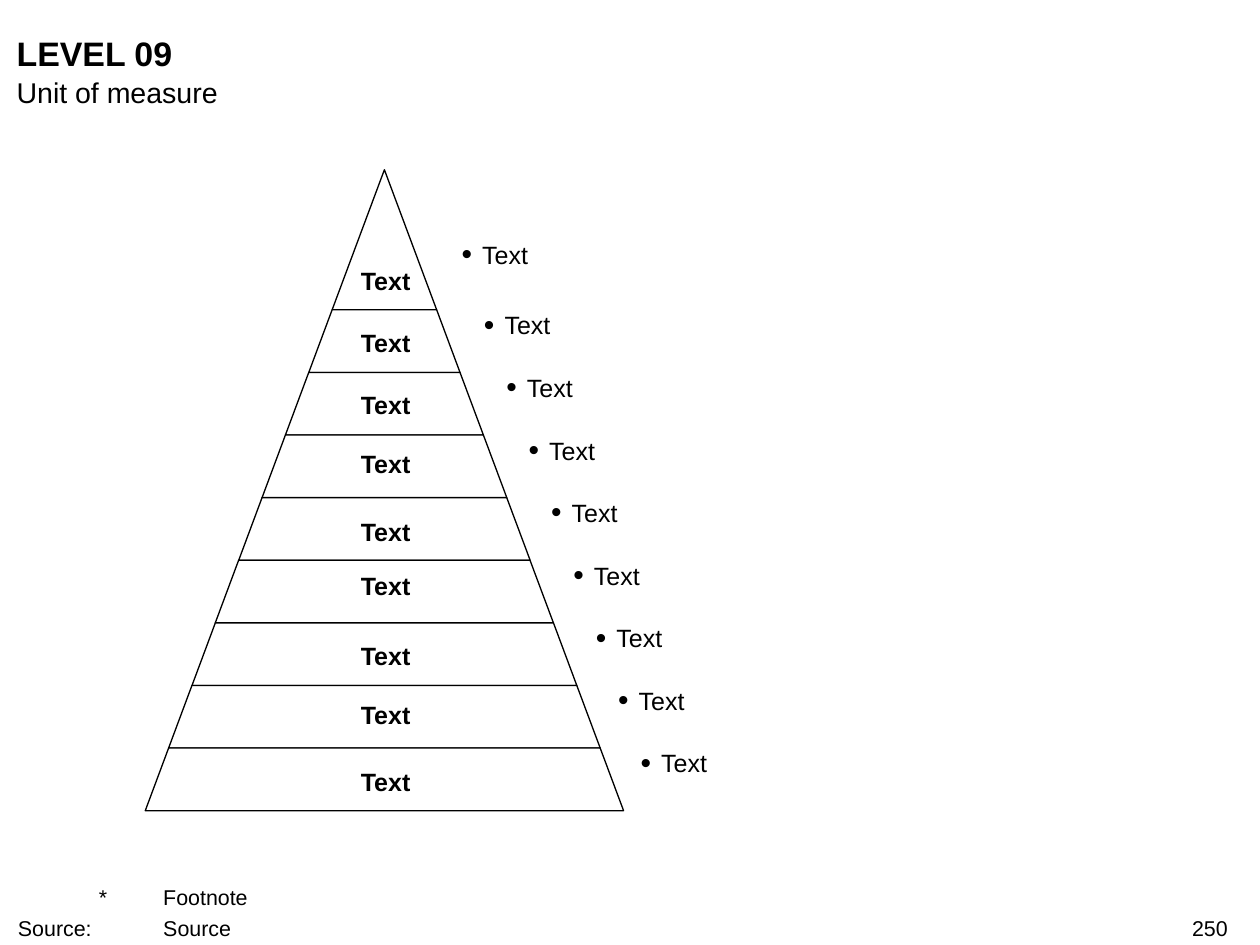
from lxml import etree
from pptx import Presentation
from pptx.dml.color import RGBColor
from pptx.enum.text import MSO_ANCHOR, MSO_AUTO_SIZE, PP_ALIGN
from pptx.oxml.ns import qn
from pptx.util import Inches, Pt

LEFT, MID, RIGHT = PP_ALIGN.LEFT, PP_ALIGN.CENTER, PP_ALIGN.RIGHT
TOP, CORE, BASE = MSO_ANCHOR.TOP, MSO_ANCHOR.MIDDLE, MSO_ANCHOR.BOTTOM
FIXED = MSO_AUTO_SIZE.NONE
HUES = {"ink": "000000", "paper": "FFFFFF"}
FONT = "Arial"

# Slide grid: 98 columns by 73.5 rows
WIDE, HIGH = Inches(9.8), Inches(7.35)
COLS, ROWS = 98, 73.5

# Pyramid: tip, first cut and base, with eight equal bands below the cut
MID_X, HALF = 29.9, 18.6
TIP, CUT, FOOT, BANDS = 13.2, 24.1, 63.05, 8
STEP = (FOOT - CUT) / BANDS
EDGES = [TIP] + [CUT + STEP * i for i in range(BANDS + 1)]

# Rows of the band labels, tip to base
LABELS = [20.7, 25.5, 30.3, 34.9, 40.2, 44.4, 49.8, 54.4, 59.6]


def col(num):
    return round(WIDE * num / COLS)


def row(num):
    return round(HIGH * num / ROWS)


def hue(name):
    return RGBColor.from_string(HUES[name])


def place(box, x, y, w, h):
    box.left, box.top, box.width, box.height = col(x), row(y), col(w), row(h)


def style(box, size, bold=False, align=LEFT, anchor=TOP):
    frame = box.text_frame
    frame.word_wrap, frame.auto_size = True, FIXED
    frame.vertical_anchor = anchor
    frame.margin_left = frame.margin_right = 0
    frame.margin_top = frame.margin_bottom = 0
    for para in frame.paragraphs:
        para.alignment = align
        for run in para.runs:
            run.font.name, run.font.size = FONT, Pt(size)
            run.font.bold = bold
            run.font.color.rgb = hue("ink")


def write(slide, text, area, size, **look):
    box = slide.shapes.add_textbox(0, 0, 0, 0)
    place(box, *area)
    box.text_frame.text = text
    style(box, size, **look)
    return box


def hang(para, depth):
    props = para._p.get_or_add_pPr()
    props.set("marL", str(col(depth)))
    props.set("indent", str(-col(depth)))
    return props


def band(slide, top, foot):
    def reach(y):
        return HALF * (y - TIP) / (FOOT - TIP)

    near, far = reach(top), reach(foot)
    spots = [(MID_X + near, top), (MID_X + far, foot), (MID_X - far, foot)]
    if near:
        spots.append((MID_X - near, top))
    spots = [(col(x), row(y)) for x, y in spots]
    path = slide.shapes.build_freeform(*spots[0])
    path.add_line_segments(spots[1:], close=True)
    shape = path.convert_to_shape()
    shape.shadow.inherit = False
    shape.fill.solid()
    shape.fill.fore_color.rgb = hue("paper")
    shape.line.color.rgb = hue("ink")
    shape.line.width = Pt(0.75)


def bullet(slide, text, x, y):
    box = write(slide, text, (x, y, 40.9, 2.3), 14)
    props = hang(box.text_frame.paragraphs[0], 1.6)
    tint = etree.SubElement(props, qn("a:buClr"))
    etree.SubElement(tint, qn("a:srgbClr"), val=HUES["ink"])
    etree.SubElement(props, qn("a:buSzPct"), val="120000")
    etree.SubElement(props, qn("a:buFont"), typeface=FONT)
    etree.SubElement(props, qn("a:buChar"), char="•")


def notes(slide, text, area):
    box = write(slide, text, area, 12, anchor=BASE)
    for num, para in enumerate(box.text_frame.paragraphs):
        props = hang(para, 6.3)
        if num:
            para.space_before = Pt(3)
        tabs = etree.SubElement(props, qn("a:tabLst"))
        for stop, side in ((0, "l"), (5.8, "r"), (9.8, "l"), (19.6, "l")):
            etree.SubElement(tabs, qn("a:tab"), pos=str(col(stop)), algn=side)


def main():
    deck = Presentation()
    deck.slide_width, deck.slide_height = WIDE, HIGH
    slide = deck.slides.add_slide(deck.slide_layouts[5])

    # Heading
    title = slide.shapes.title
    place(title, 1.3, 2.5, 94.3, 3.2)
    title.text_frame.text = "LEVEL 09"
    style(title, 19, bold=True)
    write(slide, "Unit of measure", (1.3, 5.8, 94.3, 2.7), 16)

    # Pyramid with its labels
    for top, foot in zip(EDGES, EDGES[1:]):
        band(slide, top, foot)
    for y in LABELS:
        write(slide, "Text", (MID_X - 3.1, y, 6.4, 2.3), 14,
              bold=True, align=MID, anchor=CORE)

    # Remarks along the right side
    for num, y in enumerate([18.6] + EDGES[1:-1]):
        bullet(slide, "Text", 35.9 + 1.74 * num, y)

    # Footer
    notes(slide, "\t*\tFootnote\nSource:\t\tSource", (1.4, 68.8, 89.3, 4.4))
    write(slide, "250", (75.1, 71.2, 20.4, 2), 12, align=RIGHT)

    deck.save("out.pptx")


if __name__ == "__main__":
    main()
